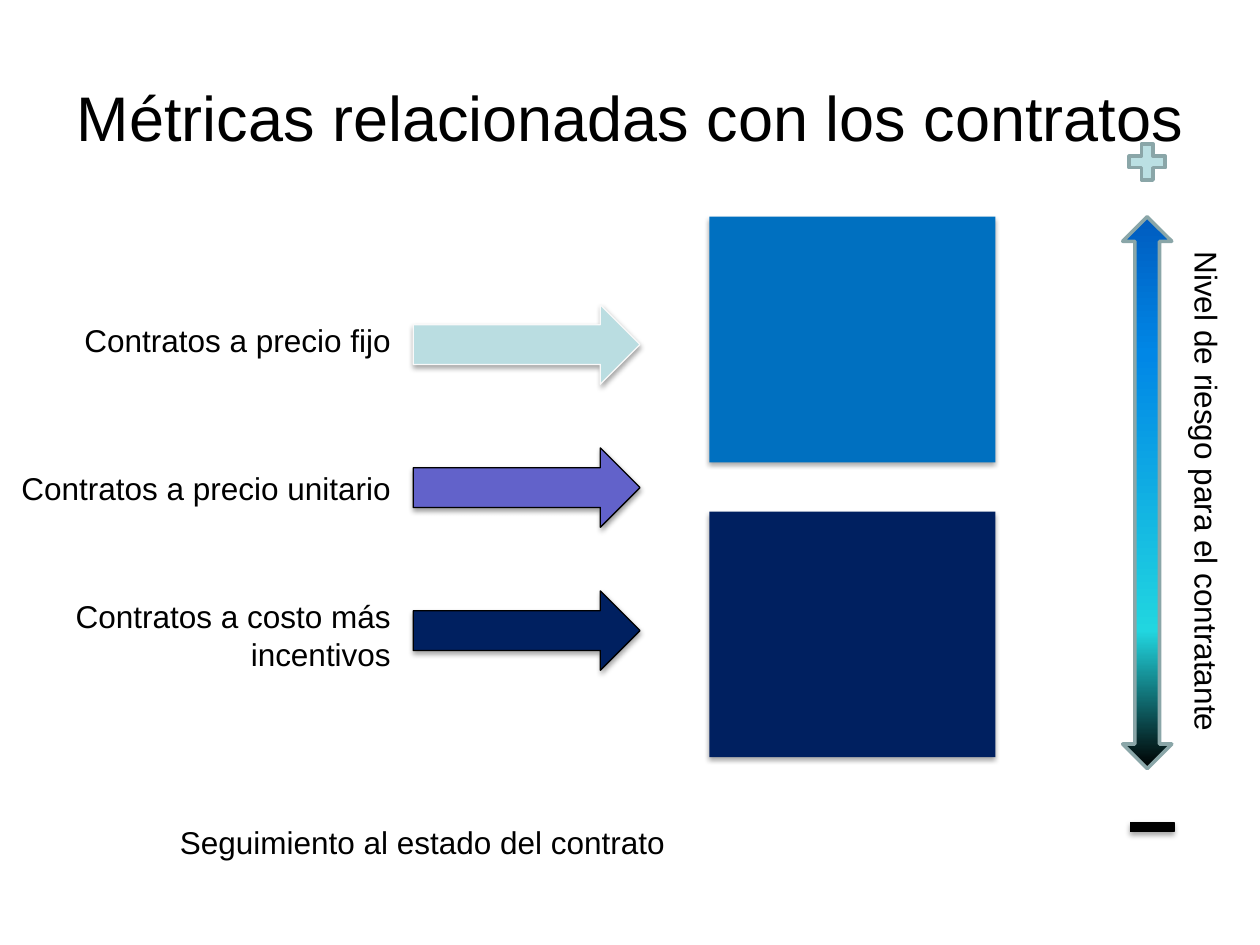
"""Build a slide on contract metrics and the risk level for the contracting party."""

from dataclasses import dataclass
from typing import Optional

import lxml.etree
import pptx
import pptx.dml.color
import pptx.enum.shapes
import pptx.enum.text
import pptx.oxml.ns
import pptx.util

Inches = pptx.util.Inches
Preset = pptx.enum.shapes.MSO_SHAPE
Align = pptx.enum.text.PP_ALIGN
Anchor = pptx.enum.text.MSO_ANCHOR

COLORS = {
    "black": "000000",
    "blue": "0070C0",
    "navy": "002060",
    "pale": "BADDE1",
    "violet": "6262CA",
    "white": "F9F9F9",
    "plus": "BBE0E3",
    "outline": "8AA6A8",
    "cyan": "21D6E0",
    "sky": "0087E6",
    "royal": "005CBF",
}
RISK_STOPS = ((0, "black"), (25, "cyan"), (75, "sky"), (100, "royal"))
LABEL_RIGHT = 3.2
ARROW_TOP, ARROW_STEP = 2.42, 1.135
BOX_TOP, BOX_STEP = 1.72, 2.34


@dataclass(frozen=True)
class Contract:
    label: str
    label_left: float
    label_top: float
    label_height: float
    fill: str
    line: str
    shadow_opacity: int = 35
    shadow_distance: float = 1.8


CONTRACTS = (
    Contract("Contratos a precio fijo", 0.31, 2.5, 0.4, "pale", "white"),
    Contract("Contratos a precio unitario", 0, 3.67, 0.4, "violet", "black", 38, 1.6),
    Contract("Contratos a costo más incentivos", 0.31, 4.69, 0.71, "navy", "black"),
)


def rgb(name: str) -> pptx.dml.color.RGBColor:
    return pptx.dml.color.RGBColor.from_string(COLORS[name])


def add_color(parent, name: str):
    color = lxml.etree.SubElement(parent, pptx.oxml.ns.qn("a:srgbClr"))
    color.set("val", COLORS[name])
    return color


def add_shadow(shape, opacity: int = 35, distance: float = 1.8) -> None:
    qn = pptx.oxml.ns.qn
    effects = shape._element.spPr.find(qn("a:effectLst"))
    shadow = lxml.etree.SubElement(effects, qn("a:outerShdw"))
    shadow.set("blurRad", str(int(pptx.util.Pt(3.1))))
    shadow.set("dist", str(int(pptx.util.Pt(distance))))
    shadow.set("dir", str(90 * 60000))
    shadow.set("rotWithShape", "0")
    alpha = lxml.etree.SubElement(add_color(shadow, "black"), qn("a:alpha"))
    alpha.set("val", str(opacity * 1000))


def add_preset(slide, preset, left: float, top: float, width: float, height: float,
               fill: str, line: Optional[str] = None, line_width: float = 0.75):
    shape = slide.shapes.add_shape(
        preset, Inches(left), Inches(top), Inches(width), Inches(height))
    shape.shadow.inherit = False
    shape.fill.solid()
    shape.fill.fore_color.rgb = rgb(fill)
    if line is None:
        shape.line.fill.background()
    else:
        shape.line.color.rgb = rgb(line)
        shape.line.width = pptx.util.Pt(line_width)
    return shape


def set_risk_gradient(shape) -> None:
    qn = pptx.oxml.ns.qn
    shape.fill.gradient()
    shape.fill.gradient_angle = 90
    stops = shape._element.spPr.find(".//" + qn("a:gsLst"))
    for stop in list(stops):
        stops.remove(stop)
    for position, name in RISK_STOPS:
        stop = lxml.etree.SubElement(stops, qn("a:gs"))
        stop.set("pos", str(position * 1000))
        add_color(stop, name)


def write_text(shape, text: str, size: float = 18, align=Align.LEFT,
               anchor=Anchor.TOP) -> None:
    frame = shape.text_frame
    frame.word_wrap = True
    frame.vertical_anchor = anchor
    paragraph = frame.paragraphs[0]
    paragraph.alignment = align
    run = paragraph.add_run()
    run.text = text
    run.font.name = "Arial"
    run.font.size = pptx.util.Pt(size)
    run.font.color.rgb = rgb("black")


def add_label(slide, text: str, left: float, top: float, width: float,
              height: float = 0.4, align=Align.LEFT, rotation: float = 0) -> None:
    box = slide.shapes.add_textbox(
        Inches(left), Inches(top), Inches(width), Inches(height))
    box.rotation = rotation
    write_text(box, text, align=align)


def main() -> None:
    presentation = pptx.Presentation()
    presentation.slide_width, presentation.slide_height = Inches(10), Inches(7.5)
    slide = presentation.slides.add_slide(presentation.slide_layouts[5])

    title = slide.shapes.title
    title.left, title.top = Inches(0.5), Inches(0.3)
    title.width, title.height = Inches(9), Inches(1.25)
    write_text(title, "Métricas relacionadas con los contratos", size=36,
               align=Align.CENTER, anchor=Anchor.MIDDLE)

    for index, fill in enumerate(("blue", "navy")):
        add_shadow(add_preset(slide, Preset.RECTANGLE, 5.63,
                              BOX_TOP + index * BOX_STEP, 2.27, 1.95, fill))

    for index, contract in enumerate(CONTRACTS):
        arrow = add_preset(slide, Preset.RIGHT_ARROW, 3.28,
                           ARROW_TOP + index * ARROW_STEP, 1.8, 0.63,
                           contract.fill, contract.line)
        add_shadow(arrow, contract.shadow_opacity, contract.shadow_distance)
        add_label(slide, contract.label, contract.label_left, contract.label_top,
                  LABEL_RIGHT - contract.label_left, contract.label_height, Align.RIGHT)

    add_preset(slide, Preset.MATH_PLUS, 8.91, 1.09, 0.39, 0.39, "plus", "outline", 2)
    add_shadow(add_preset(slide, Preset.MATH_MINUS, 8.91, 6.41, 0.47, 0.31,
                          "black", "black"))
    risk_arrow = add_preset(slide, Preset.UP_DOWN_ARROW, 8.91, 1.72, 0.39, 4.38,
                            "sky", "outline", 2)
    set_risk_gradient(risk_arrow)
    add_label(slide, "Nivel de riesgo para el contratante", 7.39, 3.7, 4.38,
              align=Align.CENTER, rotation=90)
    add_label(slide, "Seguimiento al estado del contrato", 1.33, 6.48, 5.23)

    presentation.save("out.pptx")


if __name__ == "__main__":
    main()
